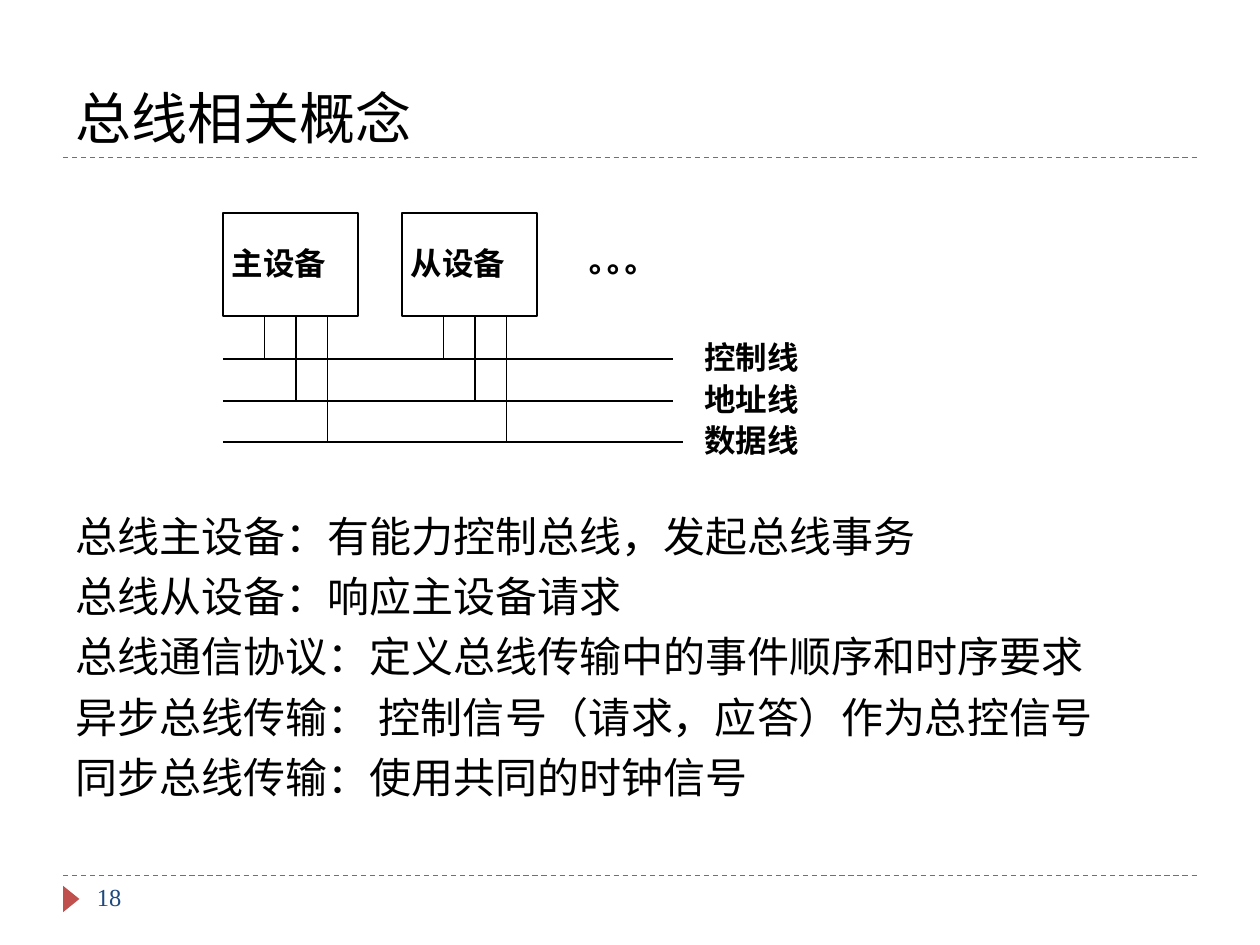
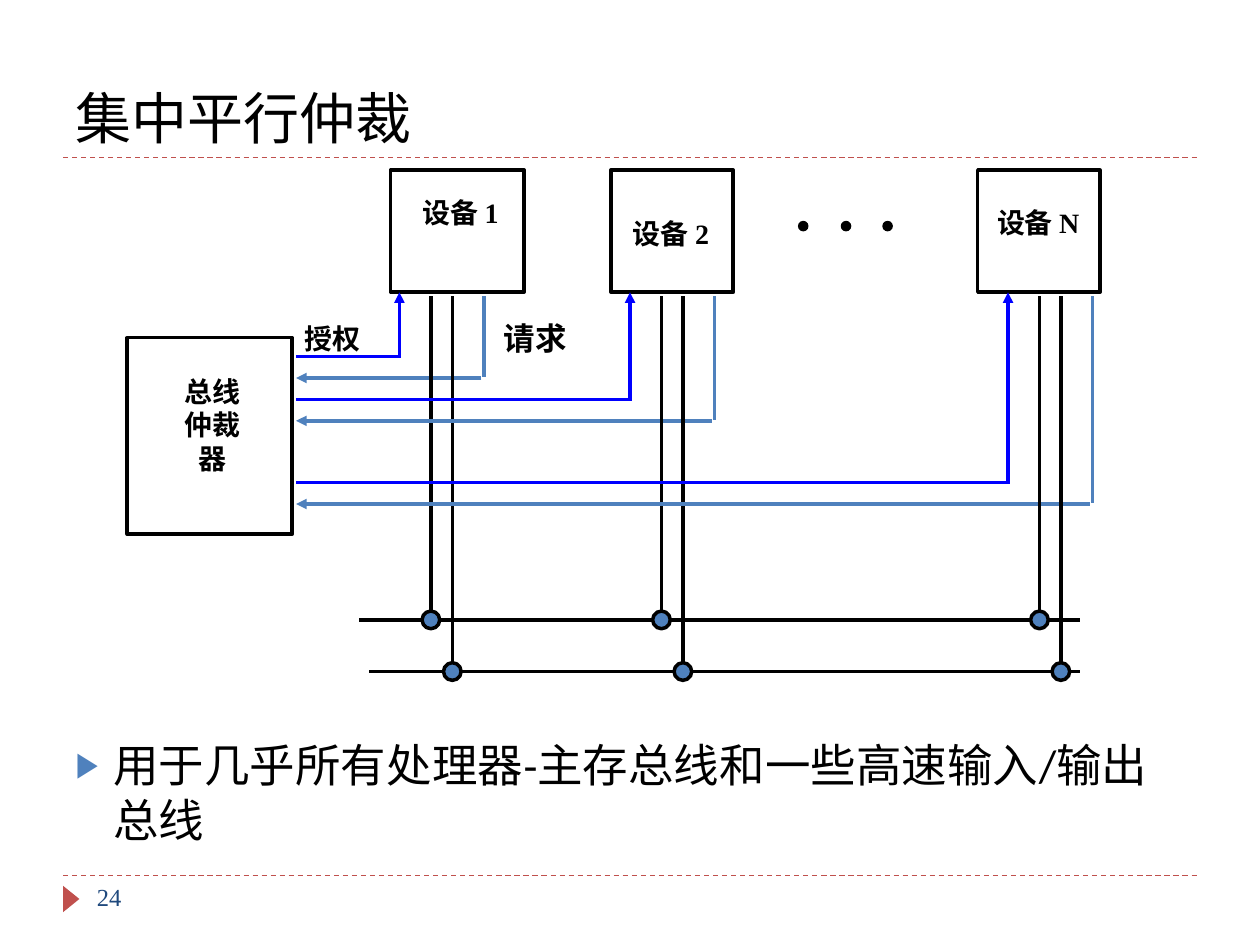
from dataclasses import dataclass

from lxml.etree import SubElement
from pptx import Presentation
from pptx.dml.color import RGBColor
from pptx.enum.dml import MSO_LINE
from pptx.enum.shapes import MSO_CONNECTOR, MSO_SHAPE
from pptx.enum.text import MSO_ANCHOR, MSO_AUTO_SIZE, PP_ALIGN
from pptx.oxml.ns import qn
from pptx.util import Pt

# Content
BUS = dict(
    title="总线相关概念",
    page="18",
    points=[
        "总线主设备：有能力控制总线，发起总线事务",
        "总线从设备：响应主设备请求",
        "总线通信协议：定义总线传输中的事件顺序和时序要求",
        "异步总线传输： 控制信号（请求，应答）作为总控信号",
        "同步总线传输：使用共同的时钟信号",
    ],
    units=["主设备", "从设备"],
    more="° ° °",
    wires=[("控制线", 534), ("地址线", 534), ("数据线", 542)],  # name, right end
)
GRANT = dict(
    title="集中平行仲裁",
    page="24",
    points=["用于几乎所有处理器-主存总线和一些高速输入/输出总线"],
    hub=["总线", "仲裁器"],
    # name, box left and width, label box, grant line x and y
    units=[
        ("设备 1", 310, 106, (315, 150, 101, 36), 317, 283),
        ("设备 2", 485, 97, (482, 167, 101, 36), 500, 317),
        ("设备 N", 776, 97, (765, 158, 118, 36), 800, 383),
    ],
    # left end, height, offset of its taps from the grant line
    rails=[(285, 492, 25), (293, 533, 42)],
)


@dataclass(frozen=True)
class Theme:
    ink: str = "000000"
    red: str = "C0504D"
    blue: str = "4F81BD"
    deep: str = "0000FF"
    navy: str = "1F497D"
    sans: str = "Calibri"
    serif: str = "Times New Roman"
    head: int = 32
    list: int = 24
    lead: int = 26
    tag: int = 18
    name: int = 16
    foot: int = 14


T = Theme()
PX = 9144  # 100 px to the inch
TIGHT = dict(margin_left=7 * PX, margin_right=7 * PX,
             margin_top=3 * PX, margin_bottom=3 * PX)
FLOW = dict(auto_size=MSO_AUTO_SIZE.NONE, word_wrap=True)


def rgb(code):
    return RGBColor.from_string(code)


def apply(item, vals):
    for key, val in vals.items():
        setattr(item, key, val)


def place(item, box):
    apply(item, dict(zip(("left", "top", "width", "height"),
                         (n * PX for n in box))))


# Text
def write(frame, lines, size, face=T.sans, color=T.ink, bold=False, **para):
    for i, line in enumerate(lines):
        par = frame.paragraphs[0] if i == 0 else frame.add_paragraph()
        apply(par, para)
        if i == 0:
            par.space_before = Pt(0)
        run = par.add_run()
        run.text = line
        apply(run.font, dict(size=Pt(size), name=face, bold=bold))
        run.font.color.rgb = rgb(color)


def label(slide, box, lines, size, face=T.sans, color=T.ink, bold=True,
          wrap=False, frame=None, **para):
    item = slide.shapes.add_textbox(*(n * PX for n in box))
    apply(item.text_frame, dict(
        word_wrap=wrap, auto_size=MSO_AUTO_SIZE.SHAPE_TO_FIT_TEXT,
        **(frame or {})))
    write(item.text_frame, lines, size, face, color, bold, **para)


def bullet(par, char=None):
    props = par._p.get_or_add_pPr()
    apply_at = {"marL": "274320", "indent": "-274320"}
    props.attrib.update(apply_at)
    if char is None:
        SubElement(props, qn("a:buNone"))
        return
    tint = SubElement(props, qn("a:buClr"))
    SubElement(tint, qn("a:srgbClr"), val=T.blue)
    SubElement(props, qn("a:buSzPct"), val="76000")
    SubElement(props, qn("a:buChar"), char=char)


# Shapes and lines
def shape(slide, kind, box, fill=None, line=T.ink, width=1):
    item = slide.shapes.add_shape(kind, *(n * PX for n in box))
    item.shadow.inherit = False
    if fill:
        item.fill.solid()
        item.fill.fore_color.rgb = rgb(fill)
    else:
        item.fill.background()
    if line:
        item.line.color.rgb = rgb(line)
        item.line.width = Pt(width)
    else:
        item.line.fill.background()
    return item


def dot(slide, x, y, size, fill, width):
    half = size / 2
    shape(slide, MSO_SHAPE.OVAL,
          (int(x - half), int(y - half), size, size), fill, width=width)


def link(slide, x1, y1, x2, y2, color=T.ink, width=1, dash=None, arrow=False):
    item = slide.shapes.add_connector(
        MSO_CONNECTOR.STRAIGHT, *(n * PX for n in (x1, y1, x2, y2)))
    item.line.color.rgb = rgb(color)
    item.line.width = Pt(width)
    if dash:
        item.line.dash_style = dash
    props = item.element.spPr
    if arrow:
        SubElement(props.find(qn("a:ln")), qn("a:tailEnd"), type="triangle")
    SubElement(props, qn("a:effectLst"))
    return item


# Shared frame: rules and marker sit on the layout
def dress(layout, slide):
    place(layout.placeholders[0], (50, 17, 900, 108))
    parts = [link(slide, 50, y, 950, y, T.red, 0.75, MSO_LINE.DASH)
             for y in (125, 695)]
    mark = shape(slide, MSO_SHAPE.ISOSCELES_TRIANGLE, (46, 707, 21, 13),
                 T.red, None)
    mark.rotation = 90
    for part in parts + [mark]:
        layout.shapes.element.append(part.element)


def start(slide, data, box, size, char=None, **para):
    title = slide.shapes.title.text_frame
    apply(title, dict(vertical_anchor=MSO_ANCHOR.BOTTOM, **FLOW))
    write(title, [data["title"]], T.head, alignment=PP_ALIGN.LEFT)
    body = slide.placeholders[1]
    place(body, box)
    apply(body.text_frame, FLOW)
    write(body.text_frame, data["points"], size, **para)
    for par in body.text_frame.paragraphs:
        bullet(par, char)
    label(slide, (67, 695, 217, 40), [data["page"]], T.foot, T.serif, T.navy,
          bold=False, wrap=True)


# Bus with master and slave units
def draw_bus(slide):
    start(slide, BUS, (50, 406, 900, 264), T.list,
          line_spacing=0.86, space_before=Pt(9.6))
    tag = dict(size=T.tag, frame=TIGHT, line_spacing=0.85)
    left, top, wide, high = 177, 169, 107, 82
    rows = [285 + 33 * i for i in range(len(BUS["wires"]))]
    for (name, end), y in zip(BUS["wires"], rows):
        link(slide, left, y, end, y)
        label(slide, (552, y - 15, 89, 31), [name], **tag)
    for i, name in enumerate(BUS["units"]):
        x = left + 142 * i
        shape(slide, MSO_SHAPE.RECTANGLE, (x, top, wide, high))
        label(slide, (x, 195, 89, 31), [name], **tag)
        for j, y in enumerate(rows):
            drop = x + 33 + 25 * j
            link(slide, drop, top + high + 1, drop, y)
    label(slide, (461, 204, 59, 32), [BUS["more"]], **tag)


# Central arbiter with a grant and a request line per unit
def draw_grant(slide):
    start(slide, GRANT, (50, 580, 900, 91), T.lead, "▶", line_spacing=1.0)
    name_fmt = dict(size=T.name, face=T.serif)
    mid = dict(alignment=PP_ALIGN.CENTER, **name_fmt)
    top, side, port, foot = 135, 97, 235, 235
    shape(slide, MSO_SHAPE.RECTANGLE, (101, 268, 131, 156), width=2)
    label(slide, (126, 292, 86, 63), GRANT["hub"], **mid)
    for x, y, _ in GRANT["rails"]:
        link(slide, x, y, 857, y, width=2)
    for name, x, wide, box, lane, y in GRANT["units"]:
        shape(slide, MSO_SHAPE.RECTANGLE, (x, top, wide, side), width=2)
        label(slide, box, [name], wrap=True, **mid)
        link(slide, port, y, lane, y, T.deep, 2)
        link(slide, lane, y + 1, lane, top + side, T.deep, 2, arrow=True)
        ask, low = lane + 67, y + 17
        link(slide, ask - 2, low, port, low, T.blue, 2, arrow=True)
        link(slide, ask, foot, ask, low - 1, T.blue, 2)
        for _, rail, gap in GRANT["rails"]:
            link(slide, lane + gap, foot, lane + gap, rail - 1, width=2)
            dot(slide, lane + gap, rail, 14, T.blue, 2)
    for i in range(3):
        dot(slide, 638 + round(33.5 * i), 180, 7, T.ink, 1)
    label(slide, (232, 250, 64, 36), ["授权"], **name_fmt)
    label(slide, (390, 248, 70, 40), ["请求"], T.tag)


def main():
    deck = Presentation()
    apply(deck, dict(slide_width=1000 * PX, slide_height=750 * PX))
    layout = deck.slide_layouts[1]
    for i, draw in enumerate((draw_bus, draw_grant)):
        slide = deck.slides.add_slide(layout)
        if i == 0:
            dress(layout, slide)
        draw(slide)
    deck.save("out.pptx")


if __name__ == "__main__":
    main()
